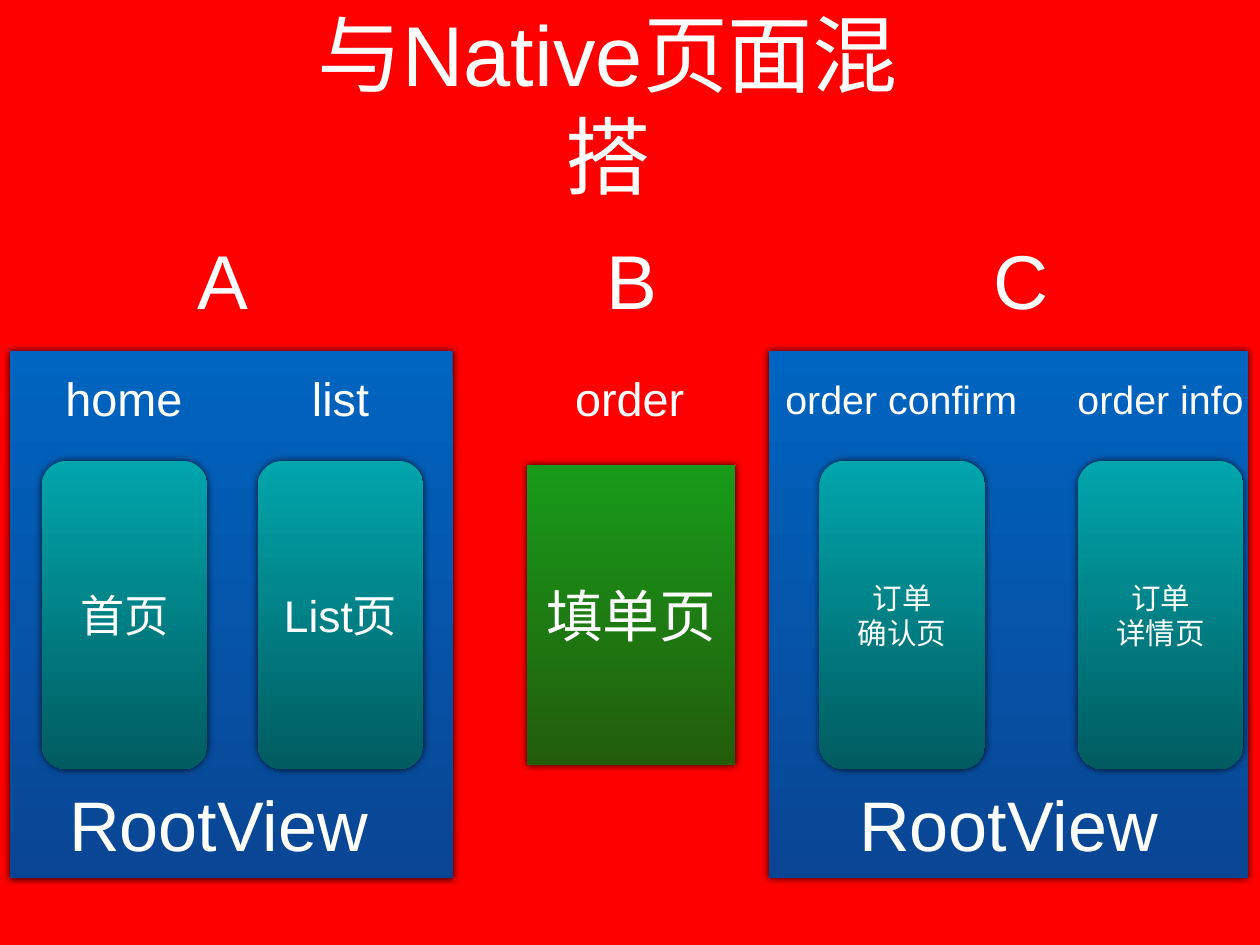
from lxml import etree
from pptx import Presentation
from pptx import util as u
from pptx.dml.color import RGBColor
from pptx.enum import shapes, text
from pptx.oxml import ns

RED = RGBColor(0xFF, 0x00, 0x00)
WHITE = RGBColor(0xFF, 0xFF, 0xFF)
BLUE = (RGBColor(0x00, 0x65, 0xC1), RGBColor(0x09, 0x45, 0x93))
GREEN = (RGBColor(0x18, 0x9B, 0x1A), RGBColor(0x23, 0x5D, 0x0B))
TEAL = (RGBColor(0x00, 0xA6, 0xAC), RGBColor(0x00, 0x5C, 0x60))
RECT = shapes.MSO_SHAPE.RECTANGLE
ROUND = shapes.MSO_SHAPE.ROUNDED_RECTANGLE


def write(sp, words, size):
    tf = sp.text_frame
    tf.text = words
    tf.vertical_anchor = text.MSO_ANCHOR.MIDDLE
    tf.margin_left = tf.margin_right = u.Pt(4)
    tf.margin_top = tf.margin_bottom = u.Pt(4)
    for p in tf.paragraphs:
        p.alignment = text.PP_ALIGN.CENTER
        for r in p.runs:
            r.font.name = "Arial"
            r.font.size = u.Pt(size)
            r.font.color.rgb = WHITE
    return tf


def block(kind, box, colours):
    sp = s.shapes.add_shape(kind, *map(u.Pt, box))
    sp.fill.gradient()
    sp.fill.gradient_angle = 270
    for stop, colour, place in zip(sp.fill.gradient_stops, colours, (0, 1)):
        stop.color.rgb = colour
        stop.position = place
    sp.line.fill.background()
    sp.shadow.inherit = False
    effects = sp._element.spPr.find(ns.qn("a:effectLst"))
    shadow = etree.SubElement(effects, ns.qn("a:outerShdw"), blurRad=str(u.Pt(6)),
                              dist="0", dir="18900000", rotWithShape="0")
    black = etree.SubElement(shadow, ns.qn("a:srgbClr"), val="000000")
    etree.SubElement(black, ns.qn("a:alpha"), val="80000")
    return sp


prs = Presentation()
prs.slide_width, prs.slide_height = u.Pt(1024), u.Pt(768)
s = prs.slides.add_slide(prs.slide_layouts[6])
s.background.fill.solid()
s.background.fill.fore_color.rgb = RED

title = s.shapes.add_textbox(u.Pt(237), u.Pt(32.5), u.Pt(549.5), u.Pt(103.5))
tf = write(title, "与Native页面混搭", 69)
tf.word_wrap = True
tf.margin_left, tf.margin_right = u.Pt(0), u.Pt(36)

for left, width in ((8, 360), (625, 389.5)):
    block(RECT, (left, 285, width, 429), BLUE)

order_page = block(RECT, (428.5, 378, 169, 243.5), GREEN)
write(order_page, "填单页", 46)

for left, words, size in (
    (34, "首页", 36),
    (209.5, "List页", 36),
    (666, "订单\n确认页", 24),
    (876, "订单\n详情页", 24),
):
    card = block(ROUND, (left, 374.5, 134.5, 250.5), TEAL)
    card.adjustments[0] = 0.15
    write(card, words, size)

for left, top, width, height, words, size in (
    (154, 186, 67.5, 82, "A ", 62),
    (488, 186, 50.5, 82, "B", 62),
    (803, 186, 71, 82, "C ", 62),
    (49, 296.5, 103.5, 54, "home", 38),
    (249, 296.5, 55.5, 54, "list", 38),
    (462, 296.5, 99.5, 54, "order", 38),
    (632, 301, 201, 46, "order confirm", 32),
    (870.5, 301, 145.5, 46, "order info", 32),
    (47, 631.5, 261.5, 76, "RootView ", 57),
    (689, 631.5, 261.5, 76, "RootView ", 57),
):
    label = s.shapes.add_textbox(*map(u.Pt, (left, top, width, height)))
    tf = write(label, words, size)
    tf.word_wrap = False
    tf.auto_size = text.MSO_AUTO_SIZE.SHAPE_TO_FIT_TEXT

prs.save("out.pptx")
